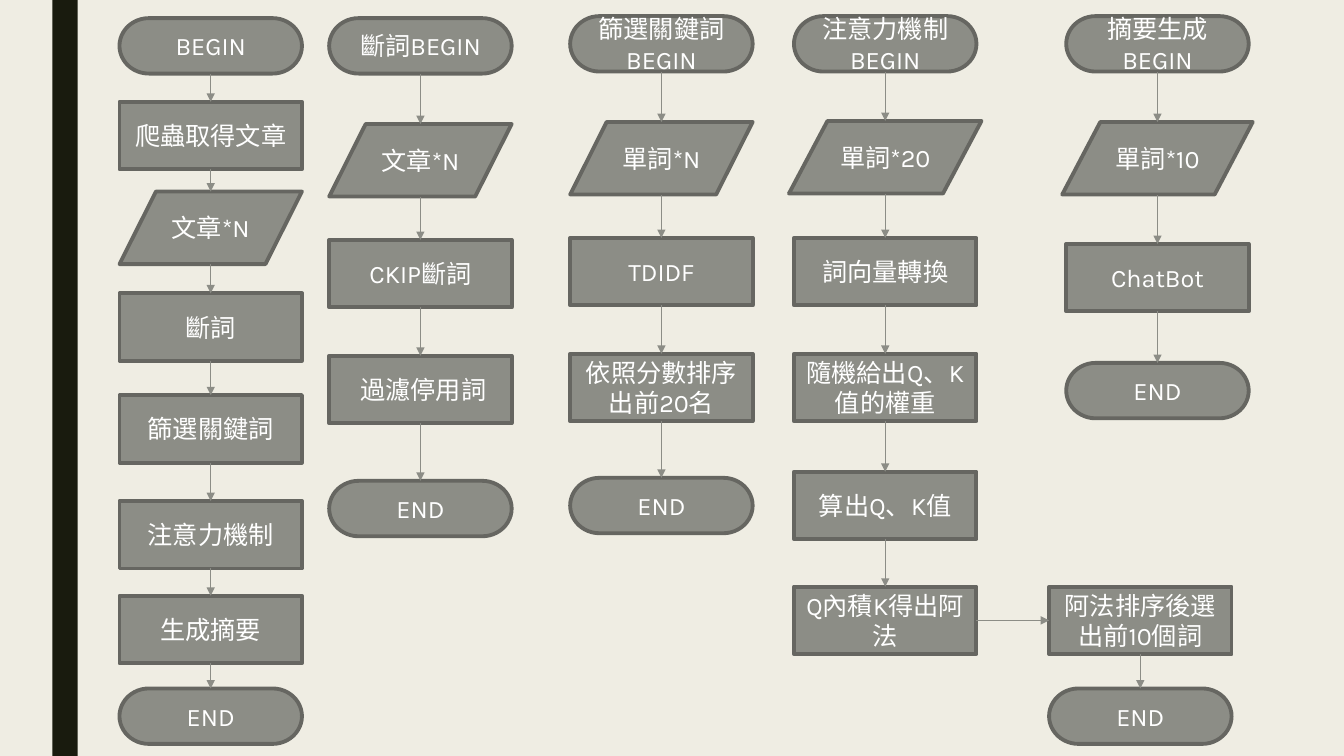
"""Build a slide of five flow charts for an article summary pipeline."""
from dataclasses import dataclass

from lxml.etree import SubElement
from pptx import Presentation
from pptx.dml.color import RGBColor
from pptx.enum.shapes import MSO_CONNECTOR, MSO_SHAPE
from pptx.enum.text import MSO_ANCHOR, PP_ALIGN
from pptx.oxml.ns import qn
from pptx.util import Inches, Pt


@dataclass(frozen=True)
class Theme:
    paper: RGBColor = RGBColor.from_string("EFEDE3")
    bar: RGBColor = RGBColor.from_string("191B0E")
    fill: RGBColor = RGBColor.from_string("8C8D86")
    edge: RGBColor = RGBColor.from_string("666661")
    ink: RGBColor = RGBColor.from_string("FFFFFF")
    font: str = "Karla"
    size: Pt = Pt(18)
    border: Pt = Pt(2.75)
    wire: Pt = Pt(0.75)


theme = Theme()
END = MSO_SHAPE.FLOWCHART_TERMINATOR
DATA = MSO_SHAPE.FLOWCHART_DATA
STEP = MSO_SHAPE.RECTANGLE
WIDTH = 1.81
HEIGHT = {END: 0.55, DATA: 0.72, STEP: 0.67}
TOP, LEFT, BOTTOM, RIGHT = range(4)


def add_node(kind, text, mid, top, width=WIDTH):
    node = slide.shapes.add_shape(
        kind, Inches(mid - width / 2), Inches(top), Inches(width), Inches(HEIGHT[kind]))
    node.shadow.inherit = False
    node.fill.solid()
    node.fill.fore_color.rgb = theme.fill
    node.line.color.rgb = theme.edge
    node.line.width = theme.border
    frame = node.text_frame
    frame.word_wrap = True
    frame.vertical_anchor = MSO_ANCHOR.MIDDLE
    frame.text = text
    line = frame.paragraphs[0]
    line.alignment = PP_ALIGN.CENTER
    font = line.runs[0].font
    font.name, font.size = theme.font, theme.size
    font.color.rgb = theme.ink
    return node


def add_arrow(start, stop, out=BOTTOM, into=TOP):
    wire = slide.shapes.add_connector(
        MSO_CONNECTOR.STRAIGHT,
        start.left + start.width // 2, start.top + start.height,
        stop.left + stop.width // 2, stop.top)
    if start.auto_shape_type != DATA:
        wire.begin_connect(start, out)
    if stop.auto_shape_type != DATA:
        wire.end_connect(stop, into)
    wire.line.color.rgb = theme.fill
    wire.line.width = theme.wire
    SubElement(wire.line._get_or_add_ln(), qn("a:tailEnd"), type="triangle")
    SubElement(wire._element.spPr, qn("a:effectLst"))


deck = Presentation()
deck.slide_width, deck.slide_height = Inches(13.33), Inches(7.5)
slide = deck.slides.add_slide(deck.slide_layouts[6])
slide.background.fill.solid()
slide.background.fill.fore_color.rgb = theme.paper

bar = slide.shapes.add_shape(STEP, Inches(0.52), 0, Inches(0.25), deck.slide_height)
bar.shadow.inherit = False
bar.fill.solid()
bar.fill.fore_color.rgb = theme.bar
bar.line.fill.background()

flows = {
    "main": (2.09, [
        (END, "BEGIN", 0.18), (STEP, "爬蟲取得文章", 1.01), (DATA, "文章*N", 1.9),
        (STEP, "斷詞", 2.91), (STEP, "篩選關鍵詞", 3.92), (STEP, "注意力機制", 4.97),
        (STEP, "生成摘要", 5.91), (END, "END", 6.83)]),
    "split": (4.17, [
        (END, "斷詞BEGIN", 0.18), (DATA, "文章*N", 1.23), (STEP, "CKIP斷詞", 2.38),
        (STEP, " 過濾停用詞", 3.53), (END, "END", 4.77)]),
    "filter": (6.56, [
        (END, "篩選關鍵詞BEGIN", 0.16), (DATA, "單詞*N", 1.21), (STEP, "TDIDF", 2.36),
        (STEP, "依照分數排序出前20名", 3.51), (END, "END", 4.74)]),
    "focus": (8.78, [
        (END, "注意力機制BEGIN", 0.16), (DATA, "單詞*20", 1.2, 1.91),
        (STEP, "詞向量轉換", 2.36), (STEP, "隨機給出Q、K值的權重", 3.51),
        (STEP, "算出Q、K值", 4.68), (STEP, "Q內積K得出阿法", 5.82)]),
    "rank": (11.31, [
        (STEP, "阿法排序後選出前10個詞", 5.82), (END, "END", 6.83)]),
    "digest": (11.48, [
        (END, "摘要生成BEGIN", 0.16), (DATA, "單詞*10", 1.21, 1.89),
        (STEP, "ChatBot", 2.42), (END, "END", 3.6)]),
}

chains = {}
for name, (mid, steps) in flows.items():
    nodes = [add_node(kind, text, mid, *place) for kind, text, *place in steps]
    for start, stop in zip(nodes, nodes[1:]):
        add_arrow(start, stop)
    chains[name] = nodes

add_arrow(chains["focus"][-1], chains["rank"][0], RIGHT, LEFT)

deck.save("out.pptx")
